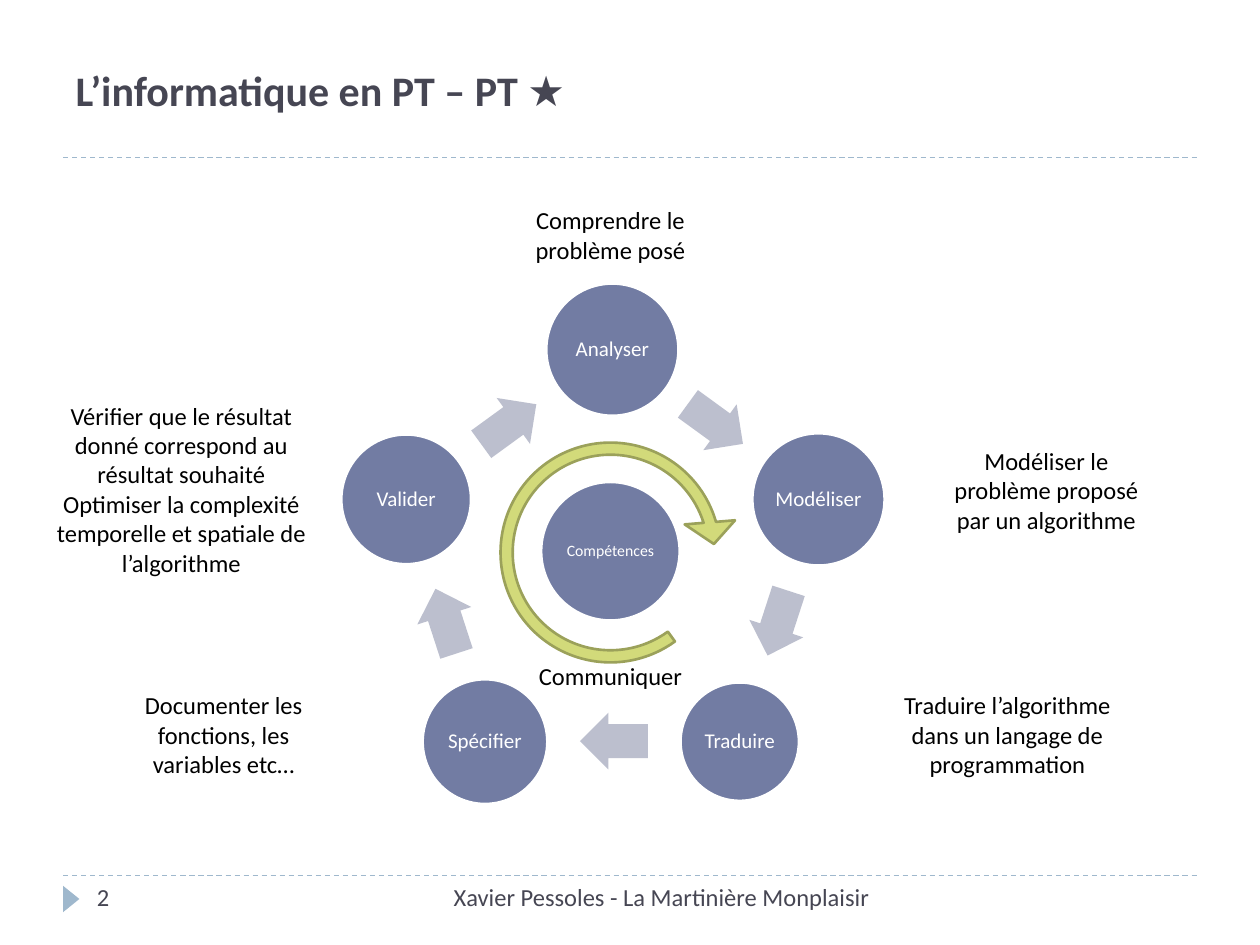
import math

import lxml.etree
import pptx
import pptx.dml.color
import pptx.enum.dml
import pptx.enum.shapes
import pptx.enum.text
import pptx.oxml.ns
import pptx.util

Inches = pptx.util.Inches
Pt = pptx.util.Pt
Shape = pptx.enum.shapes.MSO_SHAPE
Align = pptx.enum.text.PP_ALIGN
Anchor = pptx.enum.text.MSO_ANCHOR

FONT = "Calibri"
COLORS = {
    "heading": "464653",
    "text": "000000",
    "white": "FFFFFF",
    "rule": "9FB8CD",
    "circle": "727CA3",
    "arrow": "BCBFCE",
    "loop": "D2DA7A",
    "loop_edge": "9BA15A",
}
STEPS = [
    ("Analyser", 1.05),
    ("Modéliser", 1.05),
    ("Traduire", 0.94),
    ("Spécifier", 0.99),
    ("Valider", 1.03),
]
NOTES = [
    ((3.9, 5.2, 1.89, 0.34), ["Communiquer"]),
    ((3.9, 1.58, 1.89, 0.57), ["Comprendre le problème posé"]),
    ((7.36, 3.49, 1.89, 0.81), ["Modéliser le problème proposé par un algorithme"]),
    ((7.05, 5.43, 1.89, 0.81), ["Traduire l’algorithme dans un langage de programmation"]),
    ((0.83, 5.43, 1.89, 0.81), ["Documenter les fonctions, les variables etc…"]),
    ((0.22, 3.13, 2.44, 1.51), [
        "Vérifier que le résultat donné correspond au résultat souhaité",
        "Optimiser la complexité temporelle et spatiale de l’algorithme",
    ]),
]


def color(name):
    return pptx.dml.color.RGBColor.from_string(COLORS[name])


def write(frame, lines, size, color_name, align, bold=False):
    frame.word_wrap = True
    for index, line in enumerate(lines):
        para = frame.paragraphs[0] if index == 0 else frame.add_paragraph()
        para.text = line
        para.alignment = align
        para.font.name = FONT
        para.font.size = Pt(size)
        para.font.bold = bold
        para.font.color.rgb = color(color_name)


def add_text(page, box, lines, color_name, align):
    label = page.shapes.add_textbox(*map(Inches, box))
    write(label.text_frame, lines, 14, color_name, align)


def add_shape(shapes, kind, box, fill, edge=None, rotation=0):
    shape = shapes.add_shape(kind, *map(Inches, box))
    shape.shadow.inherit = False
    shape.fill.solid()
    shape.fill.fore_color.rgb = color(fill)
    if edge:
        shape.line.color.rgb = color(edge)
        shape.line.width = Pt(1.5)
    else:
        shape.line.fill.background()
    shape.rotation = rotation
    return shape


def add_circle(shapes, center, diameter, label, size):
    left, top = (value - diameter / 2 for value in center)
    circle = add_shape(shapes, Shape.OVAL, (left, top, diameter, diameter), "circle", "white")
    frame = circle.text_frame
    frame.margin_left = frame.margin_right = Inches(0.02)
    frame.margin_top = frame.margin_bottom = Inches(0.02)
    frame.vertical_anchor = Anchor.MIDDLE
    write(frame, [label], size, "white", Align.CENTER)
    frame.paragraphs[0].line_spacing = 0.9


def add_rule(page, left, top, width):
    rule = page.shapes.add_connector(
        pptx.enum.shapes.MSO_CONNECTOR.STRAIGHT,
        Inches(left), Inches(top), Inches(left + width), Inches(top))
    rule.line.color.rgb = color("rule")
    rule.line.width = Pt(0.75)
    rule.line.dash_style = pptx.enum.dml.MSO_LINE.DASH
    properties = rule._element.spPr
    lxml.etree.SubElement(properties, pptx.oxml.ns.qn("a:effectLst"))


def add_header(page, box):
    left, top, width, height = box
    title = page.shapes.title
    title.left, title.top, title.width, title.height = map(Inches, box)
    frame = title.text_frame
    frame.auto_size = pptx.enum.text.MSO_AUTO_SIZE.NONE
    frame.vertical_anchor = Anchor.MIDDLE
    write(frame, ["L’informatique en PT – PT ★"], 24, "heading", Align.LEFT, bold=True)
    add_rule(page, left, top + height, 9)


def add_footer(page, box):
    left, top, width, height = box
    add_rule(page, left, top, width)
    add_shape(page.shapes, Shape.ISOSCELES_TRIANGLE,
              (left - 0.04, top + 0.12, 0.21, 0.13), "rule", rotation=90)
    add_text(page, (left + 0.17, top, 2.17, height), ["2"], "heading", Align.LEFT)
    add_text(page, (left + 2.67, top, 3.83, height),
             ["Xavier Pessoles - La Martinière Monplaisir"], "heading", Align.RIGHT)


def add_cycle(page, box):
    left, top, width, height = box
    radius = 1.72
    middle = (left + width / 2, top + STEPS[0][1] / 2 + radius)
    shapes = page.shapes.add_group_shape().shapes
    turn = 360 / len(STEPS)
    centers = []
    for index in range(len(STEPS)):
        angle = math.radians(index * turn)
        centers.append((middle[0] + radius * math.sin(angle),
                        middle[1] - radius * math.cos(angle)))
    for index, (label, diameter) in enumerate(STEPS):
        add_circle(shapes, centers[index], diameter, label, 12)
        following = (index + 1) % len(STEPS)
        start, end = centers[index], centers[following]
        rotation = (index + 0.5) * turn
        shift = (diameter - STEPS[following][1]) / 4
        x = (start[0] + end[0]) / 2 + shift * math.cos(math.radians(rotation))
        y = (start[1] + end[1]) / 2 + shift * math.sin(math.radians(rotation))
        arrow = add_shape(shapes, Shape.RIGHT_ARROW,
                          (x - 0.27, y - 0.23, 0.54, 0.45), "arrow", rotation=rotation)
        arrow.adjustments[0] = 0.6
        arrow.adjustments[1] = 0.5


def add_hub(page, box):
    left, top, width, height = box
    add_circle(page.shapes, (left + width / 2, top + height / 2 - 0.01),
               1.1, "Compétences", 9)
    loop = add_shape(page.shapes, Shape.CIRCULAR_ARROW, box, "loop", "loop_edge")
    for index, value in enumerate((0.047, 7.315, 205.881, 32.435, 0.098)):
        loop.adjustments[index] = value


def add_notes(page):
    for box, lines in NOTES:
        add_text(page, box, lines, "text", Align.CENTER)


def main():
    deck = pptx.Presentation()
    deck.slide_width, deck.slide_height = Inches(10), Inches(7.5)
    page = deck.slides.add_slide(deck.slide_layouts[5])
    add_header(page, (0.5, 0.17, 9.07, 1.08))
    add_footer(page, (0.5, 6.95, 9, 0.4))
    add_cycle(page, (2.71, 2.25, 4.3, 4.12))
    add_hub(page, (3.82, 3.36, 2.05, 2.05))
    add_notes(page)
    deck.save("out.pptx")


if __name__ == "__main__":
    main()
